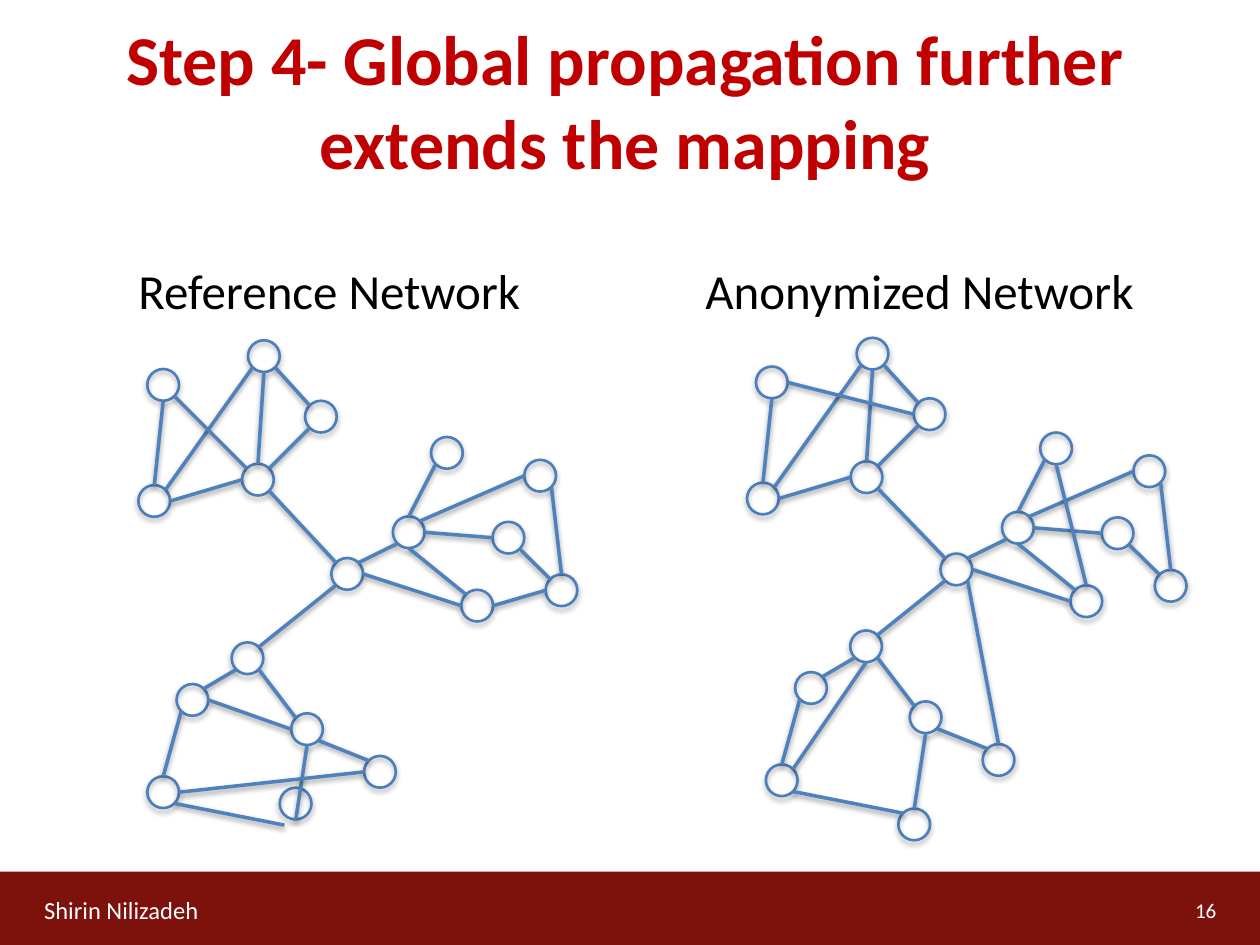
from lxml import etree
from pptx import Presentation
from pptx import util as u
from pptx.dml.color import RGBColor
from pptx.enum import shapes, text
from pptx.oxml import ns

WHITE = RGBColor(0xFF, 0xFF, 0xFF)
BLACK = RGBColor(0, 0, 0)
TITLE_RED = RGBColor(0xC0, 0, 0)
FOOTER_RED = RGBColor(0x7D, 0x11, 0x0C)
NODE_BLUE = RGBColor(0x4B, 0x7E, 0xBC)
EDGE_BLUE = RGBColor(0x4F, 0x81, 0xBD)

DIAMETER = 0.64
DIAGONAL = 0.5 ** 0.5
COMPASS = {
    "N": (0, -1), "S": (0, 1), "W": (-1, 0), "E": (1, 0),
    "NW": (-DIAGONAL, -DIAGONAL), "NE": (DIAGONAL, -DIAGONAL),
    "SW": (-DIAGONAL, DIAGONAL), "SE": (DIAGONAL, DIAGONAL),
}

CLUSTERS = {
    "upper": {"core": (4.88, 9.35), "peak": (5.0, 6.86), "east": (6.15, 8.08),
              "west": (2.97, 7.44), "corner": (2.79, 9.78)},
    "middle": {"hub": (6.68, 11.25), "gate": (7.92, 10.41), "tip": (8.69, 8.81),
               "far": (10.57, 9.27), "inner": (9.93, 10.52),
               "edge": (11.0, 11.58), "base": (9.3, 11.89)},
    "lower": {"root": (4.67, 12.95), "left": (3.56, 13.79), "foot": (2.97, 15.65),
              "fork": (5.87, 14.38), "right": (7.34, 15.24), "drop": (5.64, 16.54)},
}

SHARED_EDGES = """
hub.NE gate.SW, east.SW core.NE, corner.E core.W, peak.S core.N,
peak.SW corner.NE, peak.SE east.NW, west.S corner.N, left.NE root.SW,
root.SE fork.NW, foot.N left.SW, foot.SE drop.NW, fork.SE right.NW,
fork.S drop.N, gate.N tip.SW, gate.E inner.W, hub.E base.W, far.W gate.NE,
gate.S base.NW, inner.SE edge.NW, far.SE edge.N, core.SE hub.NW, root.NE hub.SW
"""
REFERENCE_EDGES = "west.SE core.NW, left.E fork.W, base.E edge.W, foot.E right.W"
ANONYMIZED_EDGES = "root.S foot.NE, west.E east.W, tip.S base.N, hub.SE right.N"


class NetworkSlide:
    """Draws text, bands and node-link networks on one slide in a shared style."""

    font_name = "Calibri"

    def __init__(self, slide):
        self.slide = slide

    def band(self, left, top, width, height, color):
        band = self.slide.shapes.add_shape(
            shapes.MSO_SHAPE.RECTANGLE, u.Cm(left), u.Cm(top), u.Cm(width), u.Cm(height))
        band.shadow.inherit = False
        band.fill.solid()
        band.fill.fore_color.rgb = color
        band.line.fill.background()

    def label(self, words, left, top, width, height, size, color, bold=False,
              align=text.PP_ALIGN.LEFT, anchor=text.MSO_ANCHOR.MIDDLE, grow=False):
        frame = self.slide.shapes.add_textbox(
            u.Cm(left), u.Cm(top), u.Cm(width), u.Cm(height)).text_frame
        frame.word_wrap = True
        frame.vertical_anchor = anchor
        if grow:
            frame.auto_size = text.MSO_AUTO_SIZE.SHAPE_TO_FIT_TEXT
        frame.text = words
        paragraph = frame.paragraphs[0]
        paragraph.alignment = align
        font = paragraph.font
        font.name, font.size, font.bold = self.font_name, u.Pt(size), bold
        font.color.rgb = color

    def soft_shadow(self, properties, distance, opacity):
        effects = etree.SubElement(properties, ns.qn("a:effectLst"))
        shadow = etree.SubElement(
            effects, ns.qn("a:outerShdw"), blurRad="40000", dist=str(distance),
            dir="5400000", rotWithShape="0")
        black = etree.SubElement(shadow, ns.qn("a:srgbClr"), val="000000")
        etree.SubElement(black, ns.qn("a:alpha"), val=str(opacity * 1000))

    def node(self, left, top):
        node = self.slide.shapes.add_shape(
            shapes.MSO_SHAPE.OVAL, u.Cm(left), u.Cm(top), u.Cm(DIAMETER), u.Cm(DIAMETER))
        node.fill.background()
        node.line.color.rgb = NODE_BLUE
        node.line.width = u.Pt(1.5)
        self.soft_shadow(node.element.spPr, 23000, 35)

    def edge(self, start, end):
        edge = self.slide.shapes.add_connector(
            shapes.MSO_CONNECTOR.STRAIGHT, *(u.Cm(value) for value in start + end))
        edge.line.color.rgb = EDGE_BLUE
        edge.line.width = u.Pt(2)
        self.soft_shadow(edge.element.spPr, 20000, 38)

    def network(self, shifts, edges, lifted=None):
        places = {
            name: (x + shifts[cluster][0], y + shifts[cluster][1])
            for cluster, members in CLUSTERS.items()
            for name, (x, y) in members.items()
        }
        lifted = lifted or {}
        for name, (x, y) in places.items():
            self.node(x, y - lifted.get(name, 0))

        def rim(end):
            name, direction = end.split(".")
            return tuple(corner + DIAMETER / 2 * (1 + step)
                         for corner, step in zip(places[name], COMPASS[direction]))

        for pair in f"{SHARED_EDGES}, {edges}".split(","):
            start, end = pair.split()
            self.edge(rim(start), rim(end))


def main():
    deck = Presentation()
    deck.slide_width, deck.slide_height = u.Cm(25.4), u.Cm(19.05)
    page = NetworkSlide(deck.slides.add_slide(deck.slide_layouts[6]))

    page.band(0, 17.57, 25.43, 1.48, FOOTER_RED)
    page.label("Shirin Nilizadeh", 0.64, 17.84, 4.45, 1.01, 14, WHITE)
    page.label("16", 18.85, 17.84, 5.92, 1.01, 12, WHITE, align=text.PP_ALIGN.RIGHT)
    page.label("Step 4- Global propagation further extends the mapping",
               1.06, 0.21, 23.07, 3.6, 40, TITLE_RED, bold=True,
               align=text.PP_ALIGN.CENTER)

    page.network({"upper": (0, 0), "middle": (0, 0), "lower": (0, 0)},
                 REFERENCE_EDGES, lifted={"drop": 0.66})
    page.network({"upper": (12.27, -0.05), "middle": (12.28, -0.09),
                  "lower": (12.47, -0.24)}, ANONYMIZED_EDGES)

    for caption, left, width in (("Reference Network", 2.54, 8.69),
                                 ("Anonymized Network", 13.97, 9.98)):
        page.label(caption, left, 5.13, width, 1.45, 28, BLACK,
                   anchor=text.MSO_ANCHOR.TOP, grow=True)

    deck.save("out.pptx")


if __name__ == "__main__":
    main()
